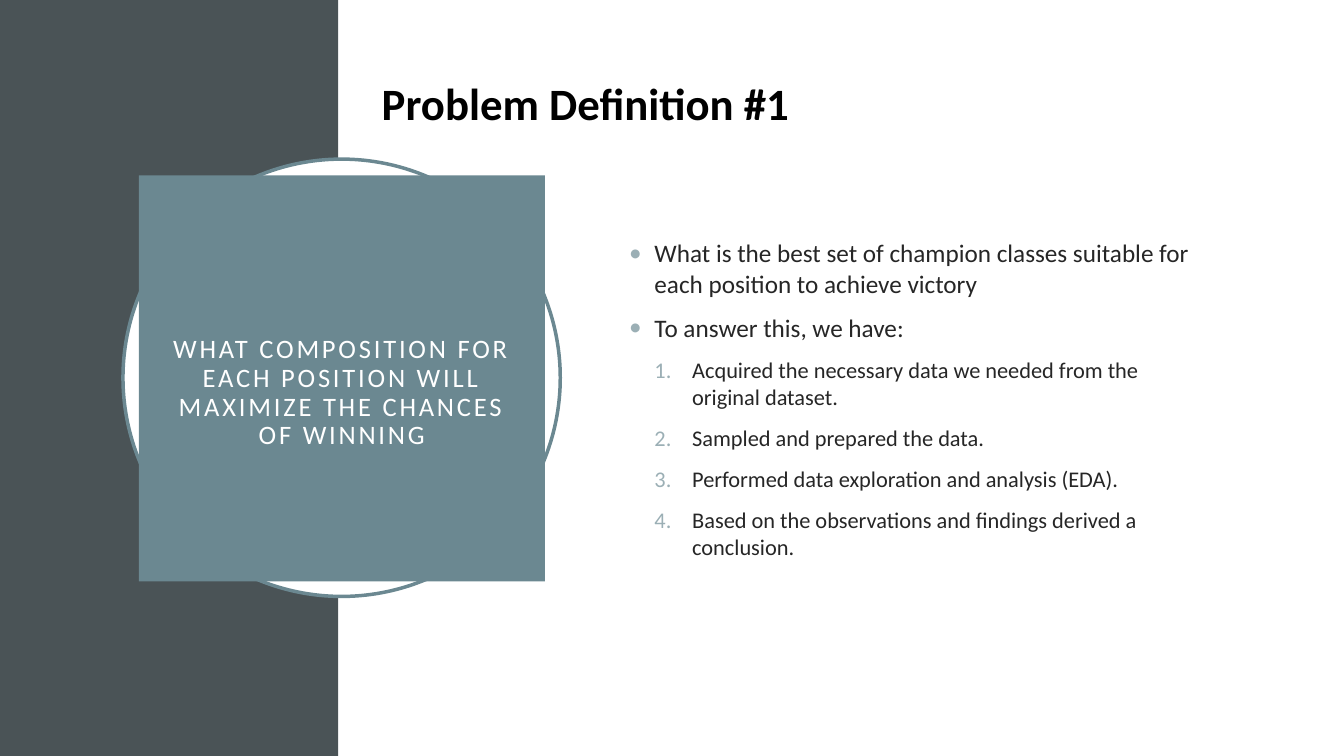
from dataclasses import dataclass
from typing import Optional

from lxml import etree
from pptx import Presentation
from pptx.dml.color import RGBColor
from pptx.enum.shapes import MSO_SHAPE
from pptx.enum.text import MSO_ANCHOR, MSO_AUTO_SIZE, PP_ALIGN
from pptx.oxml.ns import qn
from pptx.util import Cm, Pt

RECT = MSO_SHAPE.RECTANGLE
OVAL = MSO_SHAPE.OVAL
MIDDLE = MSO_ANCHOR.MIDDLE
FIXED = MSO_AUTO_SIZE.NONE
CENTER = PP_ALIGN.CENTER
LEFT = PP_ALIGN.LEFT

WHITE = RGBColor(0xFF, 0xFF, 0xFF)
BLACK = RGBColor(0, 0, 0)
SLATE = RGBColor(0x4A, 0x53, 0x56)
TEAL = RGBColor(0x6B, 0x88, 0x91)
MIST = RGBColor(0x9B, 0xAF, 0xB5)
INK = RGBColor(0x26, 0x26, 0x26)

FONT = "Calibri"
WIDE = 33.87
HIGH = 19.05
SPLIT = 8.53


@dataclass
class Box:
    left: float
    top: float
    width: float
    height: float


@dataclass
class Form:
    kind: MSO_SHAPE
    box: Box
    fill: RGBColor
    line: Optional[RGBColor] = None


@dataclass
class Item:
    text: str
    level: int = 0


@dataclass
class Style:
    size: int
    indent: float
    hang: float
    tag: str
    attr: str
    mark: str


FORMS = [
    Form(RECT, Box(0, 0, SPLIT, HIGH), SLATE),
    Form(RECT, Box(SPLIT, 0, WIDE - SPLIT, HIGH), WHITE),
    Form(OVAL, Box(3.1, 4.01, 11.02, 11.02), WHITE, TEAL),
]
STYLES = [
    Style(18, 0.64, 0.64, "a:buChar", "char", "•"),
    Style(16, 1.59, 0.95, "a:buAutoNum", "type", "arabicPeriod"),
]
ITEMS = [
    Item("What is the best set of champion classes suitable for each position to achieve victory"),
    Item("To answer this, we have:"),
    Item("Acquired the necessary data we needed from the original dataset.", 1),
    Item("Sampled and prepared the data.", 1),
    Item("Performed data exploration and analysis (EDA).", 1),
    Item("Based on the observations and findings derived a conclusion.", 1),
]


def place(shape, box: Box) -> None:
    shape.left, shape.top = Cm(box.left), Cm(box.top)
    shape.width, shape.height = Cm(box.width), Cm(box.height)


def set_font(para, size: int, color: RGBColor, bold: bool = False) -> None:
    font = para.font
    font.name, font.size, font.bold = FONT, Pt(size), bold
    font.color.rgb = color


def draw_form(slide, form: Form) -> None:
    box = form.box
    shape = slide.shapes.add_shape(
        form.kind, Cm(box.left), Cm(box.top), Cm(box.width), Cm(box.height))
    shape.shadow.inherit = False
    shape.fill.solid()
    shape.fill.fore_color.rgb = form.fill
    if form.line is None:
        shape.line.fill.background()
    else:
        shape.line.color.rgb = form.line
        shape.line.width = Pt(2.5)


def draw_title(slide) -> None:
    title = slide.shapes.title
    slide.shapes._spTree.append(title._element)
    place(title, Box(3.5, 4.42, 10.23, 10.23))
    title.fill.solid()
    title.fill.fore_color.rgb = TEAL
    frame = title.text_frame
    frame.word_wrap, frame.auto_size = True, FIXED
    frame.vertical_anchor = MIDDLE
    frame.margin_left = frame.margin_right = frame.margin_bottom = Cm(0.5)
    frame.margin_top = Cm(1.24)
    para = frame.paragraphs[0]
    run = para.add_run()
    run.text = "WHAT COMPOSITION FOR EACH POSITION WILL MAXIMIZE THE CHANCES OF WINNING"
    run._r.get_or_add_rPr().set("spc", "200")
    para.alignment, para.line_spacing = CENTER, 0.9
    set_font(para, 19, WHITE)


def add_mark(para, style: Style) -> None:
    props = para._p.get_or_add_pPr()
    props.set("marL", str(Cm(style.indent)))
    props.set("indent", str(-Cm(style.hang)))
    tint = etree.SubElement(props, qn("a:buClr"))
    etree.SubElement(tint, qn("a:srgbClr")).set("val", str(MIST))
    etree.SubElement(props, qn("a:buFont")).set("typeface", FONT)
    etree.SubElement(props, qn(style.tag)).set(style.attr, style.mark)


def draw_list(slide) -> None:
    body = slide.placeholders[1]
    slide.shapes._spTree.append(body._element)
    place(body, Box(15.6, 4.42, 14.78, 11.25))
    frame = body.text_frame
    frame.word_wrap, frame.auto_size = True, FIXED
    frame.vertical_anchor = MIDDLE
    for i, item in enumerate(ITEMS):
        para = frame.add_paragraph() if i else frame.paragraphs[0]
        style = STYLES[item.level]
        para.text, para.level = item.text, item.level
        add_mark(para, style)
        para.alignment, para.line_spacing = LEFT, 1.0
        para.space_before = Pt(10 if i else 0)
        set_font(para, style.size, INK)


def draw_head(slide) -> None:
    head = slide.shapes.add_textbox(Cm(9.37), Cm(1.78), Cm(16.94), Cm(1.63))
    frame = head.text_frame
    frame.word_wrap = True
    para = frame.paragraphs[0]
    para.text = "Problem Definition #1"
    set_font(para, 32, BLACK, True)


def main() -> None:
    deck = Presentation()
    deck.slide_width, deck.slide_height = Cm(WIDE), Cm(HIGH)
    slide = deck.slides.add_slide(deck.slide_layouts[1])
    for form in FORMS:
        draw_form(slide, form)
    draw_title(slide)
    draw_list(slide)
    draw_head(slide)
    deck.save("out.pptx")


if __name__ == "__main__":
    main()
